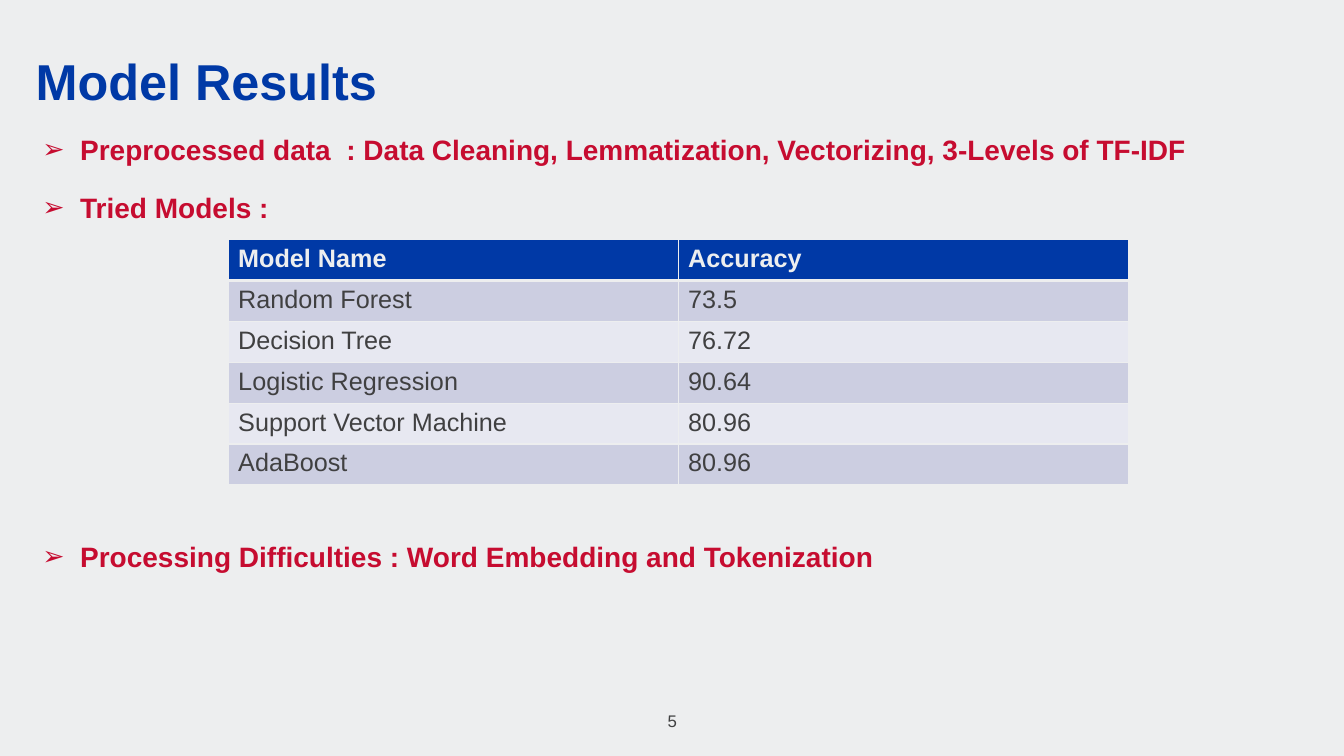
from dataclasses import dataclass
from lxml.etree import SubElement
from pptx import Presentation
from pptx.dml.color import RGBColor
from pptx.enum.text import MSO_ANCHOR, MSO_AUTO_SIZE, PP_ALIGN
from pptx.oxml import parse_xml
from pptx.oxml.ns import nsdecls, qn
from pptx.util import Cm, Pt


@dataclass(frozen=True)
class Theme:
    font: str = "Arial"
    back: str = "EDEEEF"
    blue: str = "0039A6"
    red: str = "C60C30"
    ink: str = "404041"
    bands: tuple = ("CCCEE1", "E7E8F1")
    title: int = 36
    body: int = 20
    cell: int = 18
    note: int = 12


theme = Theme()

POINTS = [
    ("Preprocessed data  : Data Cleaning, Lemmatization, Vectorizing, 3-Levels of TF-IDF", 18),
    ("Tried Models :", 18),
    ("Processing Difficulties : Word Embedding and Tokenization", 225),
]
SCORES = [
    ("Model Name", "Accuracy"),
    ("Random Forest", "73.5"),
    ("Decision Tree", "76.72"),
    ("Logistic Regression", "90.64"),
    ("Support Vector Machine", "80.96"),
    ("AdaBoost", "80.96"),
]


def add_run(para, text, size, color, bold=False):
    run = para.add_run()
    run.text = text
    font = run.font
    font.name, font.size, font.bold = theme.font, Pt(size), bold
    font.color.rgb = RGBColor.from_string(color)


def set_frame(frame, anchor):
    frame.word_wrap = True
    frame.auto_size = MSO_AUTO_SIZE.NONE
    frame.vertical_anchor = anchor
    frame.margin_left = frame.margin_right = 0
    frame.margin_top = frame.margin_bottom = 0


def add_box(slide, box, anchor):
    frame = slide.shapes.add_textbox(*map(Cm, box)).text_frame
    set_frame(frame, anchor)
    return frame


def add_title(slide, box):
    title = slide.shapes.title
    title.left, title.top, title.width, title.height = map(Cm, box)
    set_frame(title.text_frame, MSO_ANCHOR.BOTTOM)
    para = title.text_frame.paragraphs[0]
    para.alignment = PP_ALIGN.LEFT
    para.line_spacing = 0.9
    add_run(para, "Model Results", theme.title, theme.blue, True)


def add_points(slide, box):
    frame = add_box(slide, box, MSO_ANCHOR.TOP)
    for i, (text, gap) in enumerate(POINTS):
        para = frame.add_paragraph() if i else frame.paragraphs[0]
        para.space_before = Pt(gap)
        props = para._p.get_or_add_pPr()
        props.set("marL", str(Cm(0.95)))
        props.set("indent", str(-Cm(0.95)))
        SubElement(props, qn("a:buSzPct"), val="95000")
        SubElement(props, qn("a:buFont"), typeface=theme.font)
        SubElement(props, qn("a:buChar"), char="➢")
        add_run(para, text, theme.body, theme.red, True)


def set_edges(cell, widths):
    props = cell._tc.get_or_add_tcPr()
    for i, (side, width) in enumerate(zip("LRTB", widths)):
        props.insert(i, parse_xml(
            f'<a:ln{side} {nsdecls("a")} w="{Pt(width)}"><a:solidFill>'
            f'<a:srgbClr val="{theme.back}"/></a:solidFill></a:ln{side}>'))


def add_scores(slide, box):
    rows, cols = len(SCORES), len(SCORES[0])
    table = slide.shapes.add_table(rows, cols, *map(Cm, box)).table
    for r, line in enumerate(SCORES):
        head = r == 0
        fill = theme.blue if head else theme.bands[(r - 1) % 2]
        color = theme.back if head else theme.ink
        for c, text in enumerate(line):
            cell = table.cell(r, c)
            cell.fill.solid()
            cell.fill.fore_color.rgb = RGBColor.from_string(fill)
            set_edges(cell, (1, 1, 3 if r == 1 else 1, 3 if head else 1))
            add_run(cell.text_frame.paragraphs[0], text, theme.cell, color, head)


def add_number(slide, box):
    para = add_box(slide, box, MSO_ANCHOR.MIDDLE).paragraphs[0]
    para.alignment = PP_ALIGN.CENTER
    add_run(para, "5", theme.note, theme.ink)


def main():
    deck = Presentation()
    deck.slide_width, deck.slide_height = Cm(33.87), Cm(19.05)
    slide = deck.slides.add_slide(deck.slide_layouts[5])
    slide.background.fill.solid()
    slide.background.fill.fore_color.rgb = RGBColor.from_string(theme.back)
    add_title(slide, (0.9, 1.42, 31.75, 1.4))
    add_points(slide, (1.07, 3.33, 31.75, 13.39))
    add_number(slide, (13.13, 17.65, 7.62, 1.02))
    add_scores(slide, (5.75, 6.04, 22.68, 6.18))
    deck.save("out.pptx")


if __name__ == "__main__":
    main()
